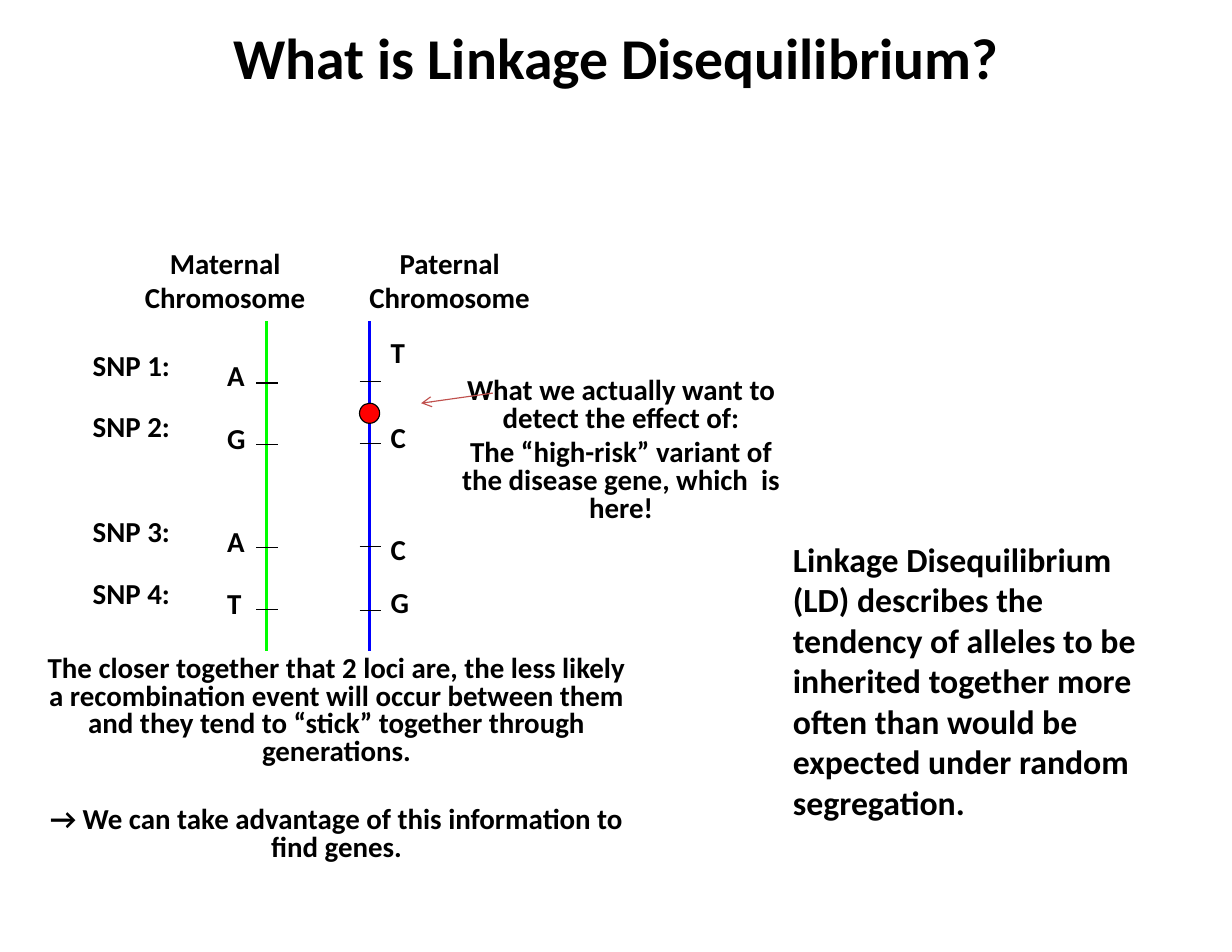
from pptx import Presentation
from pptx.dml.color import RGBColor
from pptx.enum.shapes import MSO_CONNECTOR, MSO_SHAPE
from pptx.enum.text import MSO_ANCHOR, MSO_AUTO_SIZE, PP_ALIGN
from pptx.oxml.ns import qn
from pptx.util import Inches, Pt
from lxml import etree

LEFT, CENTER = PP_ALIGN.LEFT, PP_ALIGN.CENTER
TOP = MSO_ANCHOR.TOP
NO_AUTOFIT = MSO_AUTO_SIZE.NONE
STRAIGHT = MSO_CONNECTOR.STRAIGHT
OVAL = MSO_SHAPE.OVAL
TITLE_ONLY = 5

FONT = "Calibri"
COLORS = {
    "text": "000000",
    "maternal": "00FF00",
    "paternal": "0000FF",
    "variant": "FF0000",
    "arrow": "C0504D",
}


def rgb(name):
    return RGBColor.from_string(COLORS[name])


class SlideBuilder:
    body_size = 18.6

    def __init__(self, presentation):
        self.slide = presentation.slides.add_slide(presentation.slide_layouts[TITLE_ONLY])

    def place(self, shape, left, top, width, height):
        shape.left, shape.top = Inches(left), Inches(top)
        shape.width, shape.height = Inches(width), Inches(height)

    def fill_text(self, text_frame, paragraphs, size, align, line_spacing=None, gap=0):
        text_frame.word_wrap = True
        text_frame.auto_size = NO_AUTOFIT
        text_frame.vertical_anchor = TOP
        text_frame.text = "\n".join(paragraphs)
        for index, paragraph in enumerate(text_frame.paragraphs):
            paragraph.alignment = align
            paragraph.space_before = Pt(gap if index else 0)
            if line_spacing:
                paragraph.line_spacing = line_spacing
            for run in paragraph.runs:
                run.font.name = FONT
                run.font.size = Pt(size)
                run.font.bold = True
                run.font.color.rgb = rgb("text")

    def title(self, text, left, top, width, height, size):
        shape = self.slide.shapes.title
        self.place(shape, left, top, width, height)
        text_frame = shape.text_frame
        text_frame.margin_left = text_frame.margin_right = 0
        text_frame.margin_top = text_frame.margin_bottom = 0
        self.fill_text(text_frame, [text], size, CENTER)

    def text(self, paragraphs, left, top, width, height, align=LEFT, size=body_size, inset=0.1, **spacing):
        shape = self.slide.shapes.add_textbox(
            Inches(left), Inches(top), Inches(width), Inches(height))
        text_frame = shape.text_frame
        text_frame.margin_left = text_frame.margin_right = Inches(inset)
        self.fill_text(text_frame, paragraphs, size, align, **spacing)

    def line(self, start, end, color="text", width=0.75, arrow=False):
        connector = self.slide.shapes.add_connector(
            STRAIGHT, *(Inches(value) for value in (*start, *end)))
        connector.line.color.rgb = rgb(color)
        connector.line.width = Pt(width)
        if arrow:
            tail = etree.SubElement(connector.line._get_or_add_ln(), qn("a:tailEnd"))
            tail.set("type", "arrow")
        etree.SubElement(connector._element.spPr, qn("a:effectLst"))

    def dot(self, left, top, diameter, color):
        shape = self.slide.shapes.add_shape(
            OVAL, Inches(left), Inches(top), Inches(diameter), Inches(diameter))
        shape.shadow.inherit = False
        shape.fill.solid()
        shape.fill.fore_color.rgb = rgb(color)
        shape.line.color.rgb = rgb("text")
        shape.line.width = Pt(0.75)

    def chromosome(self, x, color, allele_left, alleles, ticks):
        self.line((x, 5.81), (x, 2.87), color, 2.25)
        for (allele, top), tick in zip(alleles, ticks):
            self.text([allele], allele_left, top, 0.46, 0.41)
            self.line((x - 0.09, tick), (x + 0.1, tick))


def main():
    presentation = Presentation()
    presentation.slide_width = Inches(11)
    presentation.slide_height = Inches(8.5)
    builder = SlideBuilder(presentation)

    builder.title("What is Linkage Disequilibrium?", 0.55, 0.19, 9.9, 1, 37.1)

    builder.text(["Maternal Chromosome"], 0.92, 2.14, 2.18, 0.74, CENTER, inset=0.11)
    builder.text(["Paternal Chromosome"], 2.84, 2.14, 2.35, 0.74, CENTER, inset=0.11)

    for number, top in enumerate((3.05, 3.6, 4.54, 5.09), start=1):
        builder.text([f"SNP {number}:"], 0.73, top, 1.47, 0.41)

    builder.chromosome(
        2.38, "maternal", 1.93,
        (("A", 3.14), ("G", 3.71), ("A", 4.63), ("T", 5.18)),
        (3.42, 3.97, 4.89, 5.44))
    builder.chromosome(
        3.3, "paternal", 3.39,
        (("T", 2.94), ("C", 3.7), ("C", 4.7), ("G", 5.17)),
        (3.41, 3.96, 4.88, 5.45))
    builder.dot(3.21, 3.6, 0.18, "variant")

    builder.text(
        ["The closer together that 2 loci are, the less likely a recombination event "
         "will occur between them and they tend to “stick” together through generations.",
         "→ We can take advantage of this information to find genes."],
        0.3, 5.81, 5.41, 1.98, CENTER, inset=0.11, line_spacing=0.8, gap=25.5)

    builder.text(
        ["What we actually want to detect the effect of:",
         "The “high-risk” variant of the disease gene, which  is here!"],
        3.94, 3.33, 3.21, 1.41, CENTER, line_spacing=0.8, gap=4)
    builder.line((4.4, 3.51), (3.76, 3.6), "arrow", arrow=True)

    builder.text(
        ["Linkage Disequilibrium (LD) describes the tendency of alleles to be inherited "
         "together more often than would be expected under random segregation."],
        6.97, 4.76, 3.56, 2.66, size=21.7, inset=0.11)

    presentation.save("out.pptx")


if __name__ == "__main__":
    main()
